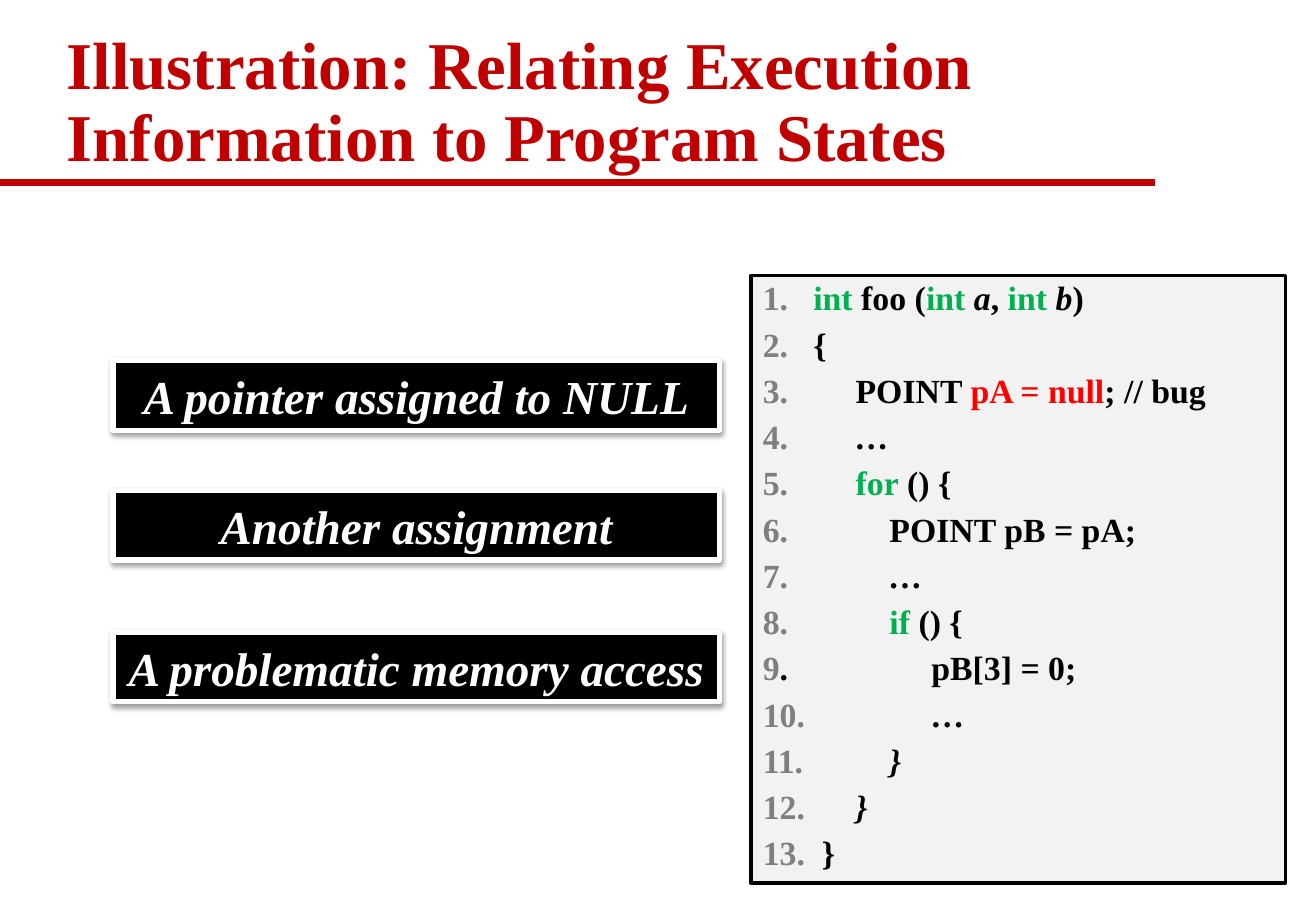
from dataclasses import dataclass

from lxml import etree
from pptx import Presentation
from pptx.dml.color import RGBColor
from pptx.enum.shapes import MSO_CONNECTOR, MSO_SHAPE
from pptx.enum.text import MSO_ANCHOR, PP_ALIGN
from pptx.oxml.ns import qn
from pptx.util import Pt

RECTANGLE = MSO_SHAPE.RECTANGLE
STRAIGHT = MSO_CONNECTOR.STRAIGHT
TOP, MIDDLE, BOTTOM = MSO_ANCHOR.TOP, MSO_ANCHOR.MIDDLE, MSO_ANCHOR.BOTTOM
LEFT, CENTER = PP_ALIGN.LEFT, PP_ALIGN.CENTER


@dataclass(frozen=True)
class Theme:
    font: str = "Times New Roman"
    accent: str = "C00000"
    ink: str = "000000"
    paper: str = "FFFFFF"
    panel: str = "F2F2F2"
    number: str = "7F7F7F"
    keyword: str = "00B050"
    bug: str = "FF0000"
    title_size: float = 39.6
    label_size: float = 28
    code_size: float = 20


theme = Theme()


def style(font, size, color, italic=False):
    font.name = theme.font
    font.size = Pt(size)
    font.bold = True
    font.italic = italic
    font.color.rgb = RGBColor.from_string(color)


def add_panel(left, top, width, height, fill, line, line_width):
    box = page.shapes.add_shape(RECTANGLE, Pt(left), Pt(top), Pt(width), Pt(height))
    box.fill.solid()
    box.fill.fore_color.rgb = RGBColor.from_string(fill)
    box.line.color.rgb = RGBColor.from_string(line)
    box.line.width = Pt(line_width)
    box.shadow.inherit = False
    return box


deck = Presentation()
deck.slide_width, deck.slide_height = Pt(780), Pt(540)
page = deck.slides.add_slide(deck.slide_layouts[6])

# Rule under the title
rule = page.shapes.add_connector(STRAIGHT, Pt(0), Pt(108), Pt(684.5), Pt(108))
rule.line.color.rgb = RGBColor.from_string(theme.accent)
rule.line.width = Pt(4)
etree.SubElement(rule._element.spPr, qn("a:effectLst"))

# Title
title = page.shapes.add_textbox(Pt(32.5), Pt(21), Pt(711), Pt(87))
title.text_frame.word_wrap = True
title.text_frame.vertical_anchor = BOTTOM
para = title.text_frame.paragraphs[0]
para.text = "Illustration: Relating Execution Information to Program States"
para.line_spacing = 0.9
style(para.runs[0].font, theme.title_size, theme.accent)

# Code listing: leading spaces, then spans of (text, color, italic)
ink, keyword = theme.ink, theme.keyword
code_lines = [
    (0, [("int", keyword, False), (" foo (", ink, False), ("int ", keyword, False),
         ("a", ink, True), (", ", ink, False), ("int ", keyword, False),
         ("b", ink, True), (")", ink, False)]),
    (0, [("{", ink, False)]),
    (5, [("POINT ", ink, False), ("pA = null", theme.bug, False),
         ("; // bug", ink, False)]),
    (5, [("…", ink, True)]),
    (5, [("for", keyword, False), (" () {", ink, False)]),
    (9, [("POINT pB = pA;", ink, False)]),
    (9, [("…", ink, True)]),
    (9, [("if", keyword, False), (" () {", ink, False)]),
    (14, [("pB[3] = 0;", ink, False)]),
    (14, [("…", ink, True)]),
    (9, [("}", ink, True)]),
    (5, [("}", ink, True)]),
    (1, [("}", ink, False)]),
]
BLACK_DOT_LINE = 9
CODE_INDENT = Pt(30)

listing = add_panel(445, 163.5, 317, 360, theme.panel, theme.ink, 2)
frame = listing.text_frame
frame.word_wrap = True
frame.vertical_anchor = TOP
for number, (depth, spans) in enumerate(code_lines, start=1):
    para = frame.paragraphs[0] if number == 1 else frame.add_paragraph()
    props = para._p.get_or_add_pPr()
    props.set("marL", str(CODE_INDENT))
    props.set("indent", str(-CODE_INDENT))
    tabs = etree.SubElement(props, qn("a:tabLst"))
    etree.SubElement(tabs, qn("a:tab"), pos=str(CODE_INDENT), algn="l")
    para.alignment = LEFT
    para.line_spacing = 0.9
    para.space_before = Pt(0 if number == 1 else 5.8)
    dot_color = ink if number == BLACK_DOT_LINE else theme.number
    prefix = [(str(number), theme.number, False),
              (".\t" + " " * depth, dot_color, False)]
    for text, color, italic in prefix + spans:
        span = para.add_run()
        span.text = text
        style(span.font, theme.code_size, color, italic)

# State labels with a soft shadow
labels = [
    (214, "A pointer assigned to NULL"),
    (291, "Another assignment"),
    (375, "A problematic memory access"),
]
for top, text in labels:
    label = add_panel(67, top, 359.5, 41, theme.ink, theme.paper, 3)
    effects = label._element.spPr.find(qn("a:effectLst"))
    shadow = etree.SubElement(effects, qn("a:outerShdw"), blurRad=str(Pt(3.1)),
                              dist=str(Pt(1.6)), dir="5400000", rotWithShape="0")
    shade = etree.SubElement(shadow, qn("a:srgbClr"), val=theme.ink)
    etree.SubElement(shade, qn("a:alpha"), val="38000")
    label.text_frame.word_wrap = True
    label.text_frame.vertical_anchor = MIDDLE
    para = label.text_frame.paragraphs[0]
    para.text = text
    para.alignment = CENTER
    style(para.runs[0].font, theme.label_size, theme.paper, italic=True)

deck.save("out.pptx")
